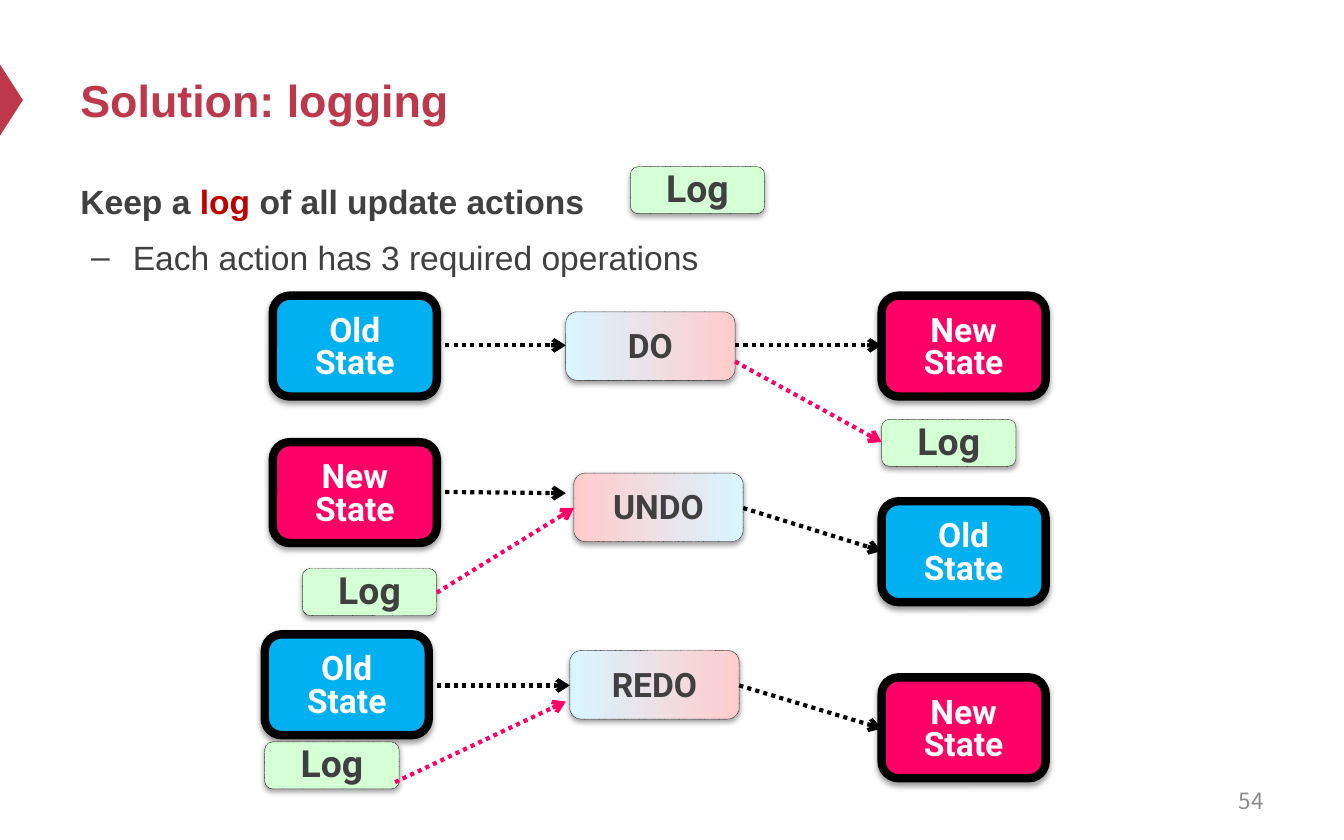
from lxml import etree
from pptx import Presentation, util as u
from pptx.dml.color import RGBColor
from pptx.enum import dml, shapes, text
from pptx.oxml import ns

BLACK, WHITE, GRAY = "000000", "FFFFFF", "404040"
RED, PINK, BLUE, GREEN = "BE384B", "FF0066", "00B0F0", "D5FFD5"
PALE, ROSE = "D9F5FF", "FFCCCC"

# kind: size, font size, line spacing, insets at top and bottom
KINDS = {
    "state": ((1.22, 0.75), 18, 0.8, (0.04, 0)),
    "step": ((1.26, 0.51), 18, 0.8, (0.04, 0)),
    "log": ((1, 0.35), 20, 1, (0, 0.04)),
}
OLD = ("state", ["Old", "State"], [BLUE])
NEW = ("state", ["New", "State"], [PINK])
LOG = ("log", ["Log"], [GREEN])

BOXES = [
    (LOG, 4.69, 1.24),
    (OLD, 2.03, 2.2), (("step", ["DO"], [PALE, ROSE]), 4.21, 2.32),
    (NEW, 6.56, 2.2), (LOG, 6.56, 3.12),
    (NEW, 2.03, 3.29), (("step", ["UNDO"], [ROSE, PALE]), 4.27, 3.52),
    (OLD, 6.56, 3.73), (LOG, 2.25, 4.23),
    (OLD, 1.97, 4.72), (("step", ["REDO"], [PALE, ROSE]), 4.24, 4.84),
    (NEW, 6.56, 5.04), (LOG, 1.97, 5.52),
]
STATE_ARROWS = [
    (3.25, 2.57, 4.21, 2.57), (5.47, 2.57, 6.56, 2.57),
    (3.25, 3.66, 4.21, 3.67), (5.53, 3.78, 6.56, 4.1),
    (3.19, 5.1, 4.24, 5.1), (5.5, 5.1, 6.56, 5.42),
]
LOG_ARROWS = [
    (5.47, 2.69, 6.56, 3.29), (3.25, 4.41, 4.27, 3.78), (2.94, 5.82, 4.21, 5.22),
]


def rgb(code):
    return RGBColor.from_string(code)


def sub(node, tag, **attrs):
    """Append a DrawingML element."""
    return etree.SubElement(node, ns.qn("a:" + tag), attrs)


def write(para, words, size=18, font="Arial", color=GRAY, bold=False,
          align=None, space=None, before=0):
    run = para.add_run()
    run.text = words
    run.font.size, run.font.name, run.font.bold = u.Pt(size), font, bold
    run.font.color.rgb = rgb(color)
    if align is not None:
        para.alignment = align
    if space:
        para.line_spacing = space
    if before:
        para.space_before = u.Pt(before)


def add_text(slide, x, y, w, h, anchor=text.MSO_ANCHOR.MIDDLE):
    frame = slide.shapes.add_textbox(*map(u.Inches, (x, y, w, h))).text_frame
    frame.word_wrap, frame.vertical_anchor = True, anchor
    return frame


def add_box(slide, look, x, y):
    kind, lines, fills = look
    (w, h), size, space, (top, low) = KINDS[kind]
    box = slide.shapes.add_shape(shapes.MSO_SHAPE.ROUNDED_RECTANGLE,
                                 *map(u.Inches, (x, y, w, h)))
    if len(fills) == 1:
        box.fill.solid()
        box.fill.fore_color.rgb = rgb(fills[0])
    else:
        box.fill.gradient()
        box.fill.gradient_angle = 0
        for stop, code in zip(box.fill.gradient_stops, fills):
            stop.color.rgb = rgb(code)
    state = kind == "state"
    box.line.color.rgb = rgb(BLACK)
    box.line.width = u.Pt(4.5 if state else 0.25)
    if not state:
        box.line.dash_style = dml.MSO_LINE.ROUND_DOT
    box.shadow.inherit = False
    glow = sub(box._element.spPr.find(ns.qn("a:effectLst")), "outerShdw",
               blurRad=str(u.Pt(3.1)), dist=str(u.Pt(1.6)), dir="5400000",
               rotWithShape="0")
    sub(sub(glow, "srgbClr", val=BLACK), "alpha", val="38000")
    frame = box.text_frame
    frame.word_wrap, frame.vertical_anchor = False, text.MSO_ANCHOR.MIDDLE
    frame.margin_left = frame.margin_right = 0
    frame.margin_top, frame.margin_bottom = u.Inches(top), u.Inches(low)
    for i, words in enumerate(lines):
        para = frame.add_paragraph() if i else frame.paragraphs[0]
        write(para, words, size=size, font="Roboto", bold=True, space=space,
              color=WHITE if state else GRAY, align=text.PP_ALIGN.CENTER)


def add_arrow(slide, ends, color):
    line = slide.shapes.add_connector(shapes.MSO_CONNECTOR.STRAIGHT,
                                      *map(u.Inches, ends))
    line.line.color.rgb = rgb(color)
    line.line.width = u.Pt(2.25)
    line.line.dash_style = dml.MSO_LINE.ROUND_DOT
    sub(line.line._get_or_add_ln(), "tailEnd", type="arrow")
    sub(line._element.spPr, "effectLst")


def main():
    deck = Presentation()
    deck.slide_width, deck.slide_height = u.Inches(10), u.Inches(6.25)
    slide = deck.slides.add_slide(deck.slide_layouts[6])

    mark = slide.shapes.add_shape(shapes.MSO_SHAPE.ISOSCELES_TRIANGLE,
                                  *map(u.Inches, (-0.18, 0.66, 0.53, 0.17)))
    mark.rotation = 90
    mark.shadow.inherit = False
    mark.fill.solid()
    mark.fill.fore_color.rgb = rgb(RED)
    mark.line.fill.background()

    title = add_text(slide, 0.5, 0.25, 9, 0.98)
    write(title.paragraphs[0], "Solution: logging", size=24, color=RED, bold=True)

    body = add_text(slide, 0.5, 1.24, 9, 1.42, anchor=text.MSO_ANCHOR.TOP)
    for words, color in (("Keep a ", GRAY), ("log", "C00000"),
                         (" of all update actions", GRAY)):
        write(body.paragraphs[0], words, color=color, bold=True, space=1.2)
    item = body.add_paragraph()
    item.level = 1
    props = item._p.get_or_add_pPr()
    props.set("marL", str(u.Inches(0.39)))
    props.set("indent", str(u.Inches(-0.31)))
    sub(props, "buFont", typeface="Arial")
    sub(props, "buChar", char="–")
    write(item, "Each action has 3 required operations", space=1.2, before=3.6)

    page = add_text(slide, 7.17, 5.79, 2.33, 0.33)
    write(page.paragraphs[0], "54", size=12, font="Noto Sans CJK SC",
          color="8C8C8C", align=text.PP_ALIGN.RIGHT)

    for look, x, y in BOXES:
        add_box(slide, look, x, y)
    for color, arrows in ((BLACK, STATE_ARROWS), (PINK, LOG_ARROWS)):
        for ends in arrows:
            add_arrow(slide, ends, color)
    deck.save("out.pptx")


if __name__ == "__main__":
    main()
